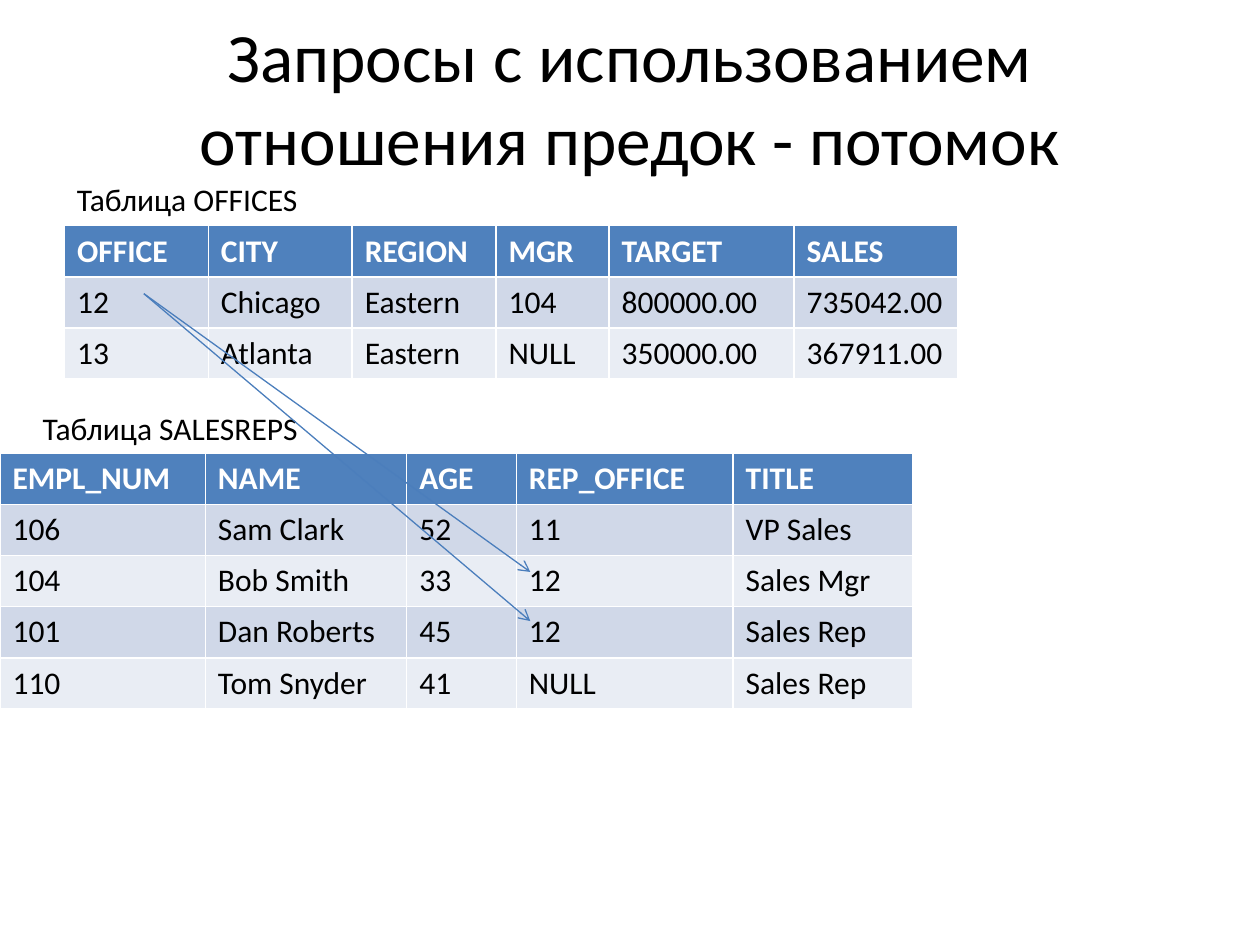
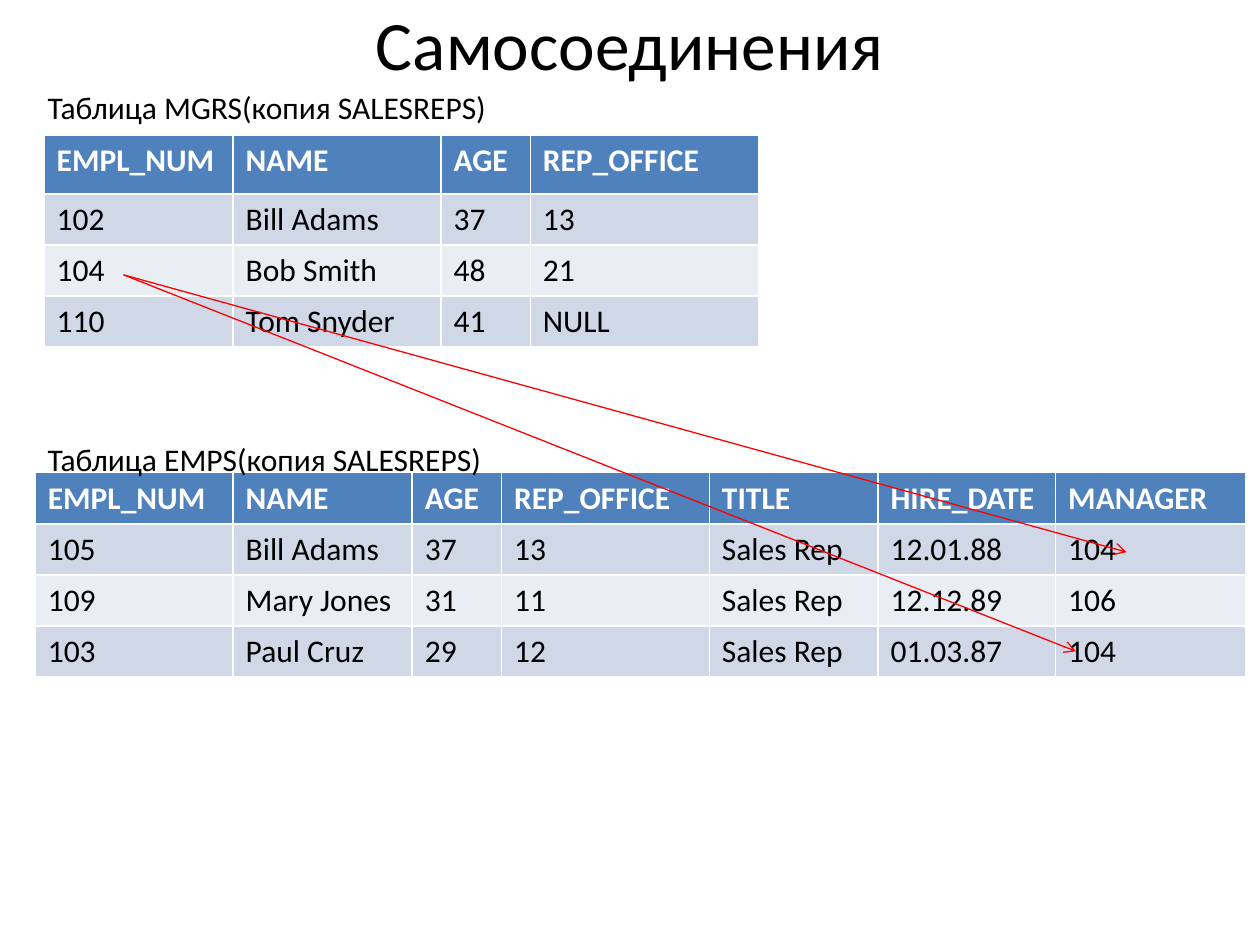
from lxml.etree import SubElement
from pptx import Presentation
from pptx.dml.color import RGBColor
from pptx.enum.shapes import MSO_CONNECTOR
from pptx.enum.text import MSO_ANCHOR, MSO_AUTO_SIZE, PP_ALIGN
from pptx.oxml.ns import qn
from pptx.util import Cm, Pt

FONT = "Calibri"
BLACK = "000000"
WHITE = "FFFFFF"
HEADER_FILL = "4F81BD"
ROW_FILLS = ("D0D8E8", "E9EDF4")
BLUE = "4B7EBC"
RED = "FF0000"
ROW_HEIGHT = 1.03

OFFICES = [
    ("OFFICE", "CITY", "REGION", "MGR", "TARGET", "SALES"),
    ("12", "Chicago", "Eastern", "104", "800000.00", "735042.00"),
    ("13", "Atlanta", "Eastern", "NULL", "350000.00", "367911.00"),
]
SALESREPS = [
    ("EMPL_NUM", "NAME", "AGE", "REP_OFFICE", "TITLE"),
    ("106", "Sam Clark", "52", "11", "VP Sales"),
    ("104", "Bob Smith", "33", "12", "Sales Mgr"),
    ("101", "Dan Roberts", "45", "12", "Sales Rep"),
    ("110", "Tom Snyder", "41", "NULL", "Sales Rep"),
]
MANAGERS = [
    ("EMPL_NUM", "NAME", "AGE", "REP_OFFICE"),
    ("102", "Bill Adams", "37", "13"),
    ("104", "Bob Smith", "48", "21"),
    ("110", "Tom Snyder", "41", "NULL"),
]
EMPLOYEES = [
    ("EMPL_NUM", "NAME", "AGE", "REP_OFFICE", "TITLE", "HIRE_DATE", "MANAGER"),
    ("105", "Bill Adams", "37", "13", "Sales Rep", "12.01.88", "104"),
    ("109", "Mary Jones", "31", "11", "Sales Rep", "12.12.89", "106"),
    ("103", "Paul Cruz", "29", "12", "Sales Rep", "01.03.87", "104"),
]


def color(value):
    return RGBColor.from_string(value)


def write_text(frame, text, size=18, bold=False, fill=BLACK, align=PP_ALIGN.LEFT):
    paragraph = frame.paragraphs[0]
    paragraph.alignment = align
    run = paragraph.add_run()
    run.text = text
    run.font.name = FONT
    run.font.size = Pt(size)
    run.font.bold = bold
    run.font.color.rgb = color(fill)


def add_title(slide, text, left, top, width, height):
    frame = slide.shapes.add_textbox(Cm(left), Cm(top), Cm(width), Cm(height)).text_frame
    frame.word_wrap = True
    frame.vertical_anchor = MSO_ANCHOR.MIDDLE
    write_text(frame, text, size=39.6, align=PP_ALIGN.CENTER)


def add_label(slide, text, left, top, width):
    frame = slide.shapes.add_textbox(Cm(left), Cm(top), Cm(width), Cm(1.02)).text_frame
    frame.word_wrap = False
    frame.auto_size = MSO_AUTO_SIZE.SHAPE_TO_FIT_TEXT
    write_text(frame, text)


def add_data_table(slide, rows, left, top, widths, header_height=ROW_HEIGHT):
    heights = [header_height] + [ROW_HEIGHT] * (len(rows) - 1)
    table = slide.shapes.add_table(
        len(rows), len(widths), Cm(left), Cm(top), Cm(sum(widths)), Cm(sum(heights))
    ).table
    for column, width in zip(table.columns, widths):
        column.width = Cm(width)
    for index, (row, height, values) in enumerate(zip(table.rows, heights, rows)):
        row.height = Cm(height)
        is_header = index == 0
        row_fill = HEADER_FILL if is_header else ROW_FILLS[(index - 1) % 2]
        for cell, value in zip(row.cells, values):
            cell.fill.solid()
            cell.fill.fore_color.rgb = color(row_fill)
            write_text(cell.text_frame, value, bold=is_header, fill=WHITE if is_header else BLACK)


def add_arrows(slide, start, ends, line_color):
    for end in ends:
        arrow = slide.shapes.add_connector(
            MSO_CONNECTOR.STRAIGHT, *(Cm(value) for value in (*start, *end))
        )
        arrow.line.color.rgb = color(line_color)
        arrow.line.width = Pt(0.75)
        SubElement(arrow.line._get_or_add_ln(), qn("a:tailEnd"), type="arrow")
        SubElement(arrow._element.spPr, qn("a:effectLst"))


def build_parent_child_slide(slide):
    add_title(slide, "Запросы с использованием отношения предок - потомок", 1.27, 0.76, 22.86, 2.36)
    add_data_table(slide, OFFICES, 1.3, 4.55, (2.9, 2.9, 2.9, 2.28, 3.73, 3.3))
    add_label(slide, "Таблица OFFICES", 1.3, 3.5, 5)
    add_data_table(slide, SALESREPS, 0, 9.14, (4.14, 4.06, 2.21, 4.37, 3.63))
    add_label(slide, "Таблица SALESREPS", 0.61, 8.13, 5.72)
    add_arrows(slide, (2.9, 5.92), [(10.69, 11.53), (10.69, 12.52)], BLUE)


def build_self_join_slide(slide):
    add_title(slide, "Самосоединения", 0, 0, 25.4, 1.73)
    add_data_table(slide, MANAGERS, 0.89, 2.72, (3.81, 4.19, 1.8, 4.6), header_height=1.19)
    add_label(slide, "Таблица MGRS(копия SALESREPS)", 0.71, 1.65, 9.45)
    add_data_table(slide, EMPLOYEES, 0.71, 9.53, (3.99, 3.61, 1.8, 4.19, 3.4, 3.58, 3.84))
    add_arrows(slide, (2.49, 5.54), [(22.71, 11.13), (21.69, 13.13)], RED)
    add_label(slide, "Таблица EMPS(копия SALESREPS)", 0.71, 8.74, 9.45)


def main():
    presentation = Presentation()
    presentation.slide_width = Cm(25.4)
    presentation.slide_height = Cm(19.05)
    blank = presentation.slide_layouts[6]
    for build in (build_parent_child_slide, build_self_join_slide):
        build(presentation.slides.add_slide(blank))
    presentation.save("out.pptx")


main()
